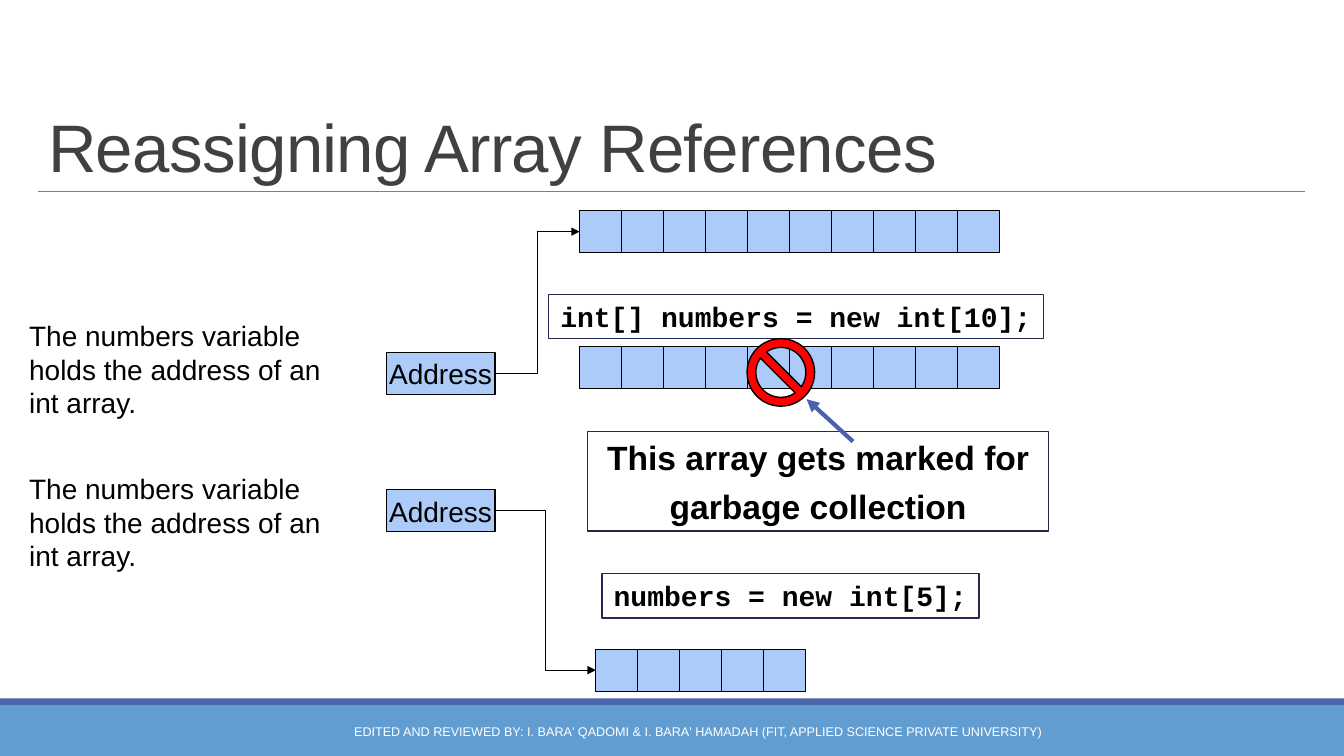
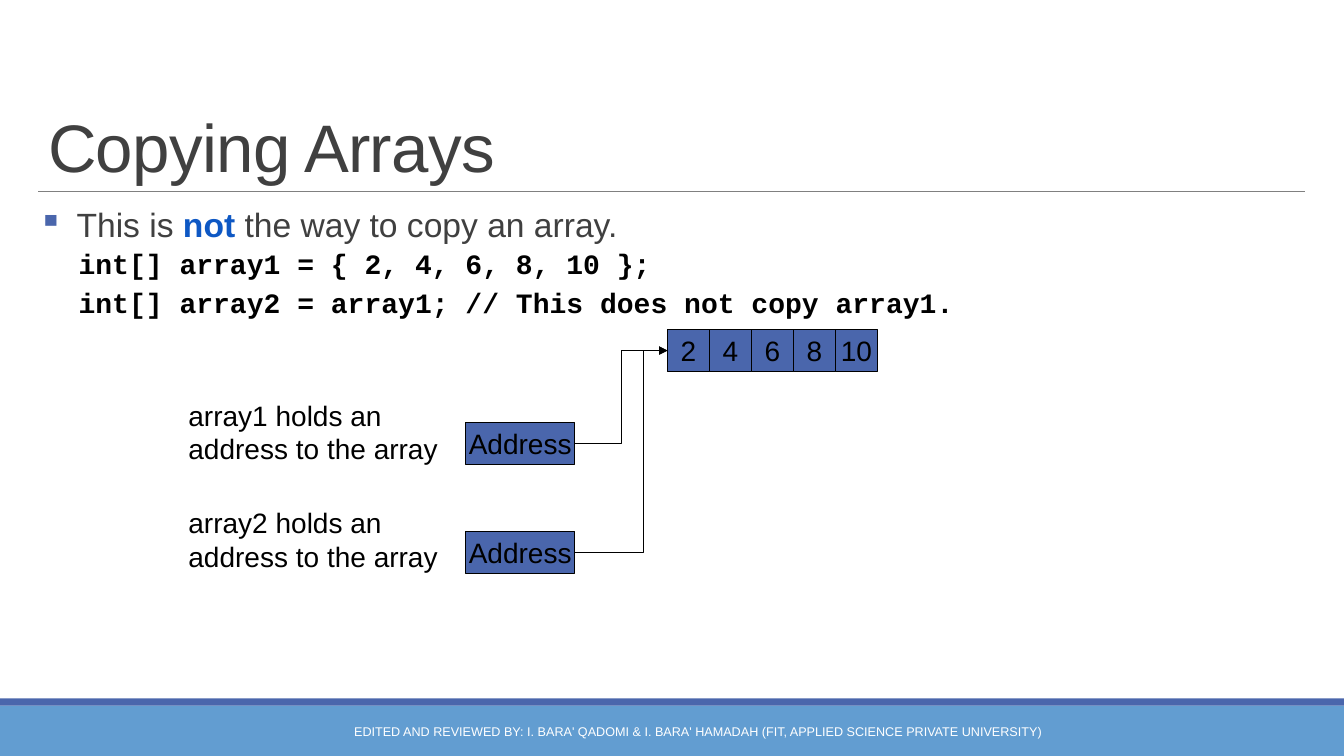
from lxml import etree
from pptx import Presentation
from pptx.dml.color import RGBColor
from pptx.enum.shapes import MSO_CONNECTOR, MSO_SHAPE
from pptx.enum.text import MSO_ANCHOR, PP_ALIGN
from pptx.oxml.ns import qn
from pptx.util import Inches, Pt

RECTANGLE, NO_SYMBOL = MSO_SHAPE.RECTANGLE, MSO_SHAPE.NO_SYMBOL
STRAIGHT, ELBOW = MSO_CONNECTOR.STRAIGHT, MSO_CONNECTOR.ELBOW
TOP, MIDDLE, BOTTOM = MSO_ANCHOR.TOP, MSO_ANCHOR.MIDDLE, MSO_ANCHOR.BOTTOM
LEFT, CENTER = PP_ALIGN.LEFT, PP_ALIGN.CENTER
LEFT_SITE, RIGHT_SITE = 1, 3

# Shared style
SANS, MONO = "Arial", "Courier New"
BLACK, WHITE, RED, GREY = "000000", "FFFFFF", "FF0000", "404040"
BAND, ACCENT, RULE = "629DD1", "4A66AC", "808080"
PALE, FRAME, POINTER, EMPHASIS = "ACCBF9", "242852", "4663AB", "0E58C4"
WIDTH, HEIGHT = 13.33, 7.5
CELL = 5 / 12
ADDRESS_WIDTH = 1.08
FOOTER = ("EDITED AND REVIEWED BY: I. BARA' QADOMI & I. BARA' HAMADAH "
          "(FIT, APPLIED SCIENCE PRIVATE UNIVERSITY)")

# Slide 1 content
REASSIGNING = "Reassigning Array References"
HOLDS_ADDRESS = ["The numbers variable", "holds the address of an", "int array."]
ARRAYS = {  # name: (left, top, number of cells)
    "first": (5.75, 2.09, 10),
    "discarded": (5.75, 3.44, 10),
    "second": (5.91, 6.44, 5),
}
REFERENCES = [  # address top, note top, array pointed at
    (3.5, 3.11, "first"),
    (4.86, 4.63, "second"),
]
FRAMED = [  # place, lines, format
    ((5.44, 2.92, 4.91, 0.44), ["int[] numbers = new int[10];"], {"font": MONO}),
    ((5.97, 5.69, 3.74, 0.44), ["numbers = new int[5];"], {"font": MONO}),
    ((5.83, 4.28, 4.57, 0.99),
     ["This array gets marked for", "garbage collection"], {"size": 24}),
]

# Slide 2 content
COPYING = "Copying Arrays"
WARNING = [("This is ", {}), ("not", {"color": EMPHASIS, "bold": True}),
           (" the way to copy an array.", {})]
CODE = ["int[] array1 = { 2, 4, 6, 8, 10 };",
        "int[] array2 = array1; // This does not copy array1."]
VALUES = ["2", "4", "6", "8", "10"]
ALIASES = [  # address top, note top, lines, bend position
    (4.19, 3.9, ["array1 holds an", "address to the array"], 0.5),
    (5.27, 4.97, ["array2 holds an", "address to the array"], 0.74),
]


def rgb(value):
    return RGBColor.from_string(value)


def inches(*values):
    return [Inches(value) for value in values]


def write(frame, text, size=20, font=SANS, color=BLACK, bold=False, align=LEFT,
          spacing=None, before=0, after=0, tracking=0, indent=0, hang=0, bullet=None):
    """Add one paragraph; text is a string or a list of (string, overrides)."""
    para = frame.paragraphs[0]
    if para.runs:
        para = frame.add_paragraph()
        para.space_before = Pt(before)
    properties = para._p.get_or_add_pPr()
    if indent:
        properties.set("marL", str(Inches(indent)))
        properties.set("indent", str(-Inches(hang)))
    if bullet:
        tint = etree.SubElement(properties, qn("a:buClr"))
        etree.SubElement(tint, qn("a:srgbClr"), val=ACCENT)
        etree.SubElement(properties, qn("a:buChar"), char=bullet)
    para.alignment = align
    para.space_after = Pt(after)
    if spacing:
        para.line_spacing = spacing
    for words, change in [(text, {})] if isinstance(text, str) else text:
        span = para.add_run()
        span.text = words
        span.font.name = font
        span.font.size = Pt(size)
        span.font.bold = change.get("bold", bold)
        span.font.color.rgb = rgb(change.get("color", color))
        if tracking:
            span._r.get_or_add_rPr().set("spc", str(round(tracking * 100)))


def add_text(page, place, lines, anchor=TOP, wrap=True, **style):
    box = page.shapes.add_textbox(*inches(*place))
    frame = box.text_frame
    frame.word_wrap = wrap
    frame.vertical_anchor = anchor
    for line in lines:
        write(frame, line, **style)
    return box


def add_box(shapes, place, fill=None, line=None, weight=0.75, kind=RECTANGLE,
            lines=(), wrap=False, **style):
    box = shapes.add_shape(kind, *inches(*place))
    box.shadow.inherit = False
    if fill:
        box.fill.solid()
        box.fill.fore_color.rgb = rgb(fill)
    else:
        box.fill.background()
    if line:
        box.line.color.rgb = rgb(line)
        box.line.width = Pt(weight)
    else:
        box.line.fill.background()
    frame = box.text_frame
    frame.word_wrap = wrap
    frame.vertical_anchor = MIDDLE
    for text in lines:
        write(frame, text, align=CENTER, **style)
    return box


def add_line(page, start, end, color=BLACK, weight=0.75, kind=STRAIGHT, arrow=False):
    line = page.shapes.add_connector(kind, *inches(*start, *end))
    line.line.color.rgb = rgb(color)
    line.line.width = Pt(weight)
    if arrow:
        etree.SubElement(line.line._get_or_add_ln(), qn("a:tailEnd"), type="triangle")
    etree.SubElement(line._element.spPr, qn("a:effectLst"))
    return line


def add_array(page, left, top, values, fill):
    """Draw a row of touching cells and return the first one."""
    group = page.shapes.add_group_shape()
    cells = [add_box(group.shapes, (left + index * CELL, top, CELL, CELL),
                     fill, BLACK, lines=[value] if value else [])
             for index, value in enumerate(values)]
    return cells[0]


def add_reference(page, left, top, fill, target, bend=0.5):
    """Draw an address box and its bent arrow to an array's first cell."""
    address = add_box(page.shapes, (left, top, ADDRESS_WIDTH, CELL), fill, BLACK,
                      lines=["Address"])
    arrow = add_line(page, (0, 0), (1, 1), kind=ELBOW, arrow=True)
    arrow.begin_connect(address, RIGHT_SITE)
    arrow.end_connect(target, LEFT_SITE)
    guides = arrow._element.spPr.find(qn("a:prstGeom")).find(qn("a:avLst"))
    etree.SubElement(guides, qn("a:gd"), name="adj1", fmla=f"val {round(bend * 100000)}")


def add_page(deck, title):
    page = deck.slides.add_slide(deck.slide_layouts[6])
    add_box(page.shapes, (0, 7, WIDTH, 0.5), BAND)
    add_box(page.shapes, (0, 6.93, WIDTH, 0.07), ACCENT)
    add_line(page, (0.38, 1.9), (12.94, 1.9), RULE, 0.5)
    add_text(page, (0.38, 0.31, 12.56, 1.59), [title], BOTTOM,
             size=48, color=GREY, spacing=0.85, tracking=-0.5)
    add_text(page, (3.11, 7.06, 7.62, 0.4), [FOOTER], MIDDLE,
             size=9, color=WHITE, align=CENTER)
    return page


def build_reassigning(deck):
    page = add_page(deck, REASSIGNING)
    heads = {name: add_array(page, left, top, [""] * count, PALE)
             for name, (left, top, count) in ARRAYS.items()}
    for address_top, note_top, name in REFERENCES:
        add_reference(page, 3.83, address_top, PALE, heads[name])
        add_text(page, (0.19, note_top, 3.11, 1.11), HOLDS_ADDRESS, wrap=False)
    for place, lines, style in FRAMED:
        add_box(page.shapes, place, line=FRAME, weight=1, lines=lines, wrap=True,
                bold=True, before=6, **style)
    # Discarded array mark
    mark = add_box(page.shapes, (7.41, 3.36, 0.67, 0.67), RED, BLACK, 1, NO_SYMBOL)
    mark.adjustments[0] = 0.13
    add_line(page, (8.46, 4.38), (8, 3.96), POINTER, 3, arrow=True)


def build_copying(deck):
    page = add_page(deck, COPYING)
    body = add_text(page, (0.38, 2.02, 12.56, 1.25), [WARNING], size=24, color=GREY,
                    spacing=0.9, after=2, indent=0.38, hang=0.38, bullet="▪")
    body.text_frame.margin_left = body.text_frame.margin_right = 0
    for line in CODE:
        write(body.text_frame, line, font=MONO, bold=True, spacing=0.9,
              before=2, after=4, indent=0.79, hang=0.39)
    # Array and the two references to it
    head = add_array(page, 6.62, 3.27, VALUES, ACCENT)
    for address_top, note_top, lines, bend in ALIASES:
        add_reference(page, 4.62, address_top, ACCENT, head, bend)
        add_text(page, (1.77, note_top, 2.69, 0.77), lines, wrap=False)


def main():
    deck = Presentation()
    deck.slide_width, deck.slide_height = inches(WIDTH, HEIGHT)
    build_reassigning(deck)
    build_copying(deck)
    deck.save("out.pptx")


if __name__ == "__main__":
    main()
